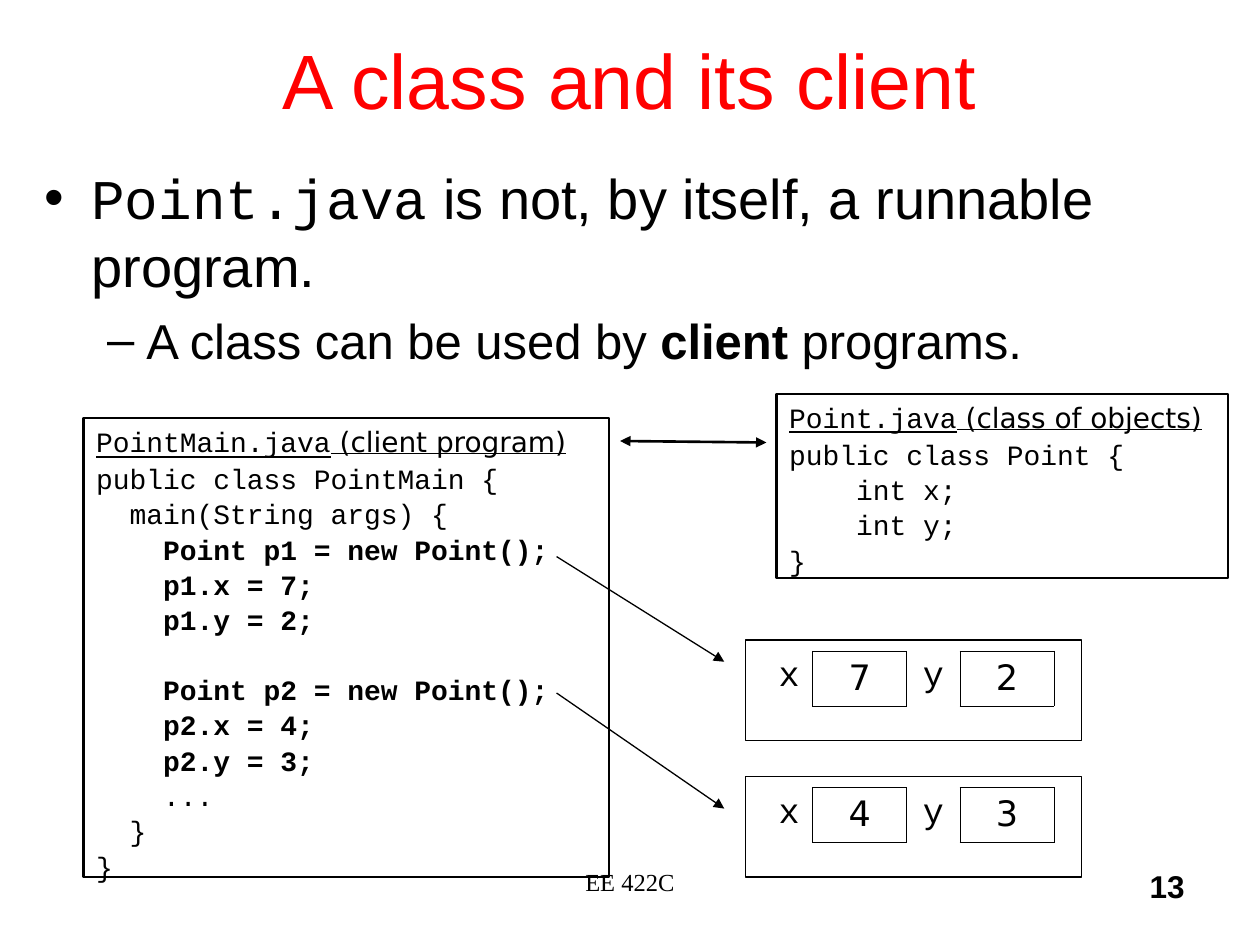
from pptx import Presentation
from pptx.dml.color import RGBColor
from pptx.enum.shapes import MSO_CONNECTOR, MSO_SHAPE
from pptx.enum.text import MSO_ANCHOR, PP_ALIGN
from pptx.oxml.ns import qn
from pptx.util import Cm, Pt
from lxml.etree import SubElement

BLACK = RGBColor(0, 0, 0)
RED = RGBColor(255, 0, 0)
SANS, CODE, LABEL, SERIF = "Arial", "Courier New", "DejaVu Sans", "Times New Roman"
CODE_PITCH = 19.6


class SlideBuilder:
    """Holds the style and the current page."""

    def __init__(self, deck):
        """Add a blank page to the deck."""
        self.page = deck.slides.add_slide(deck.slide_layouts[6])
        self.color = BLACK

    def paragraph(self, frame, spans, first=False, hang=None, bullet=None, **formats):
        """Write one paragraph of (text, font formats) spans."""
        para = frame.paragraphs[0] if first else frame.add_paragraph()
        for name, value in formats.items():
            setattr(para, name, value)
        properties = para._p.get_or_add_pPr()
        if hang:
            margin, indent = hang
            properties.set("marL", str(Cm(margin)))
            properties.set("indent", str(Cm(indent)))
        if bullet:
            SubElement(properties, qn("a:buFont"), typeface=SANS)
            SubElement(properties, qn("a:buChar"), char=bullet)
        for text, font in spans:
            span = para.add_run()
            span.text = text
            span.font.color.rgb = self.color
            for name, value in font.items():
                setattr(span.font, name, value)

    def text(self, left, top, width, height, anchor=MSO_ANCHOR.TOP):
        """Add a wrapping text box and return its frame."""
        box = self.page.shapes.add_textbox(Cm(left), Cm(top), Cm(width), Cm(height))
        box.text_frame.word_wrap = True
        box.text_frame.vertical_anchor = anchor
        return box.text_frame

    def line_of_text(self, place, text, align, font, anchor=MSO_ANCHOR.TOP):
        """Add a text box that holds a single line."""
        frame = self.text(*place, anchor=anchor)
        self.paragraph(frame, [(text, font)], first=True, alignment=align)

    def outline(self, left, top, width, height, weight):
        """Add an unfilled rectangle and return its frame."""
        box = self.page.shapes.add_shape(
            MSO_SHAPE.RECTANGLE, Cm(left), Cm(top), Cm(width), Cm(height))
        box.shadow.inherit = False
        box.fill.background()
        box.line.color.rgb = self.color
        box.line.width = Pt(weight)
        frame = box.text_frame
        frame.word_wrap = True
        frame.vertical_anchor = MSO_ANCHOR.TOP
        return frame

    def listing(self, place, name, role, lines):
        """Add a framed code listing; lines are (text, bold, blank lines above)."""
        frame = self.outline(*place, weight=1.5)
        style = {"hang": (0.64, -0.64), "alignment": PP_ALIGN.LEFT}
        title = {"size": Pt(16), "underline": True}
        self.paragraph(frame, [(name, {**title, "name": CODE}), (role, {**title, "name": LABEL})],
                       first=True, space_before=Pt(10), **style)
        for text, bold, gap in lines:
            self.paragraph(frame, [(text, {"size": Pt(16), "name": CODE, "bold": bold})],
                           line_spacing=0.53, space_before=Pt(10 + gap * CODE_PITCH), **style)

    def border(self, cell, sides):
        """Draw the given cell sides and clear the others."""
        properties = cell._tc.get_or_add_tcPr()
        for side in "LRTB":
            edge = SubElement(properties, qn(f"a:ln{side}"), w=str(Pt(0.45)))
            if side in sides:
                fill = SubElement(edge, qn("a:solidFill"))
                SubElement(fill, qn("a:srgbClr"), val=str(self.color))
            else:
                SubElement(edge, qn("a:noFill"))

    def point_object(self, left, top, x, y):
        """Add a framed object with its two fields in a table."""
        self.outline(left, top, 6.78, 2.03, weight=0.74)
        widths = (0.94, 1.9, 1.07, 1.9)
        table = self.page.shapes.add_table(
            1, 4, Cm(left + 0.41), Cm(top + 0.23), Cm(sum(widths)), Cm(1.09)).table
        table.first_row = table.horz_banding = False
        cells = zip(table.columns, widths, ("x", x, "y", y),
                    ("R", "LRTB", "LR", "LRTB"), (CODE, LABEL) * 2)
        for index, (column, width, text, sides, font) in enumerate(cells):
            column.width = Cm(width)
            cell = table.cell(0, index)
            self.border(cell, sides)
            cell.fill.background()
            self.paragraph(cell.text_frame, [(text, {"size": Pt(20), "name": font})],
                           first=True, alignment=PP_ALIGN.CENTER, space_before=Pt(5))

    def arrow(self, start, end, weight, ends=("tailEnd",)):
        """Add a straight line with triangle heads."""
        line = self.page.shapes.add_connector(
            MSO_CONNECTOR.STRAIGHT, *map(Cm, start), *map(Cm, end))
        line.line.color.rgb = self.color
        line.line.width = Pt(weight)
        for name in ends:
            SubElement(line.line._get_or_add_ln(), qn(f"a:{name}"), type="triangle")
        SubElement(line._element.spPr, qn("a:effectLst"))


def main():
    """Build the slide and save it."""
    deck = Presentation()
    deck.slide_width, deck.slide_height = Cm(25.4), Cm(19.05)
    slide = SlideBuilder(deck)

    title_font = {"size": Pt(44), "name": SANS}
    slide.color = RED
    slide.line_of_text((1.9, 0, 21.6, 3.18), "A class and its client", PP_ALIGN.CENTER,
                       title_font, MSO_ANCHOR.MIDDLE)
    slide.color = BLACK

    body = slide.text(0.64, 3.18, 24.13, 14.17)
    large, medium = {"size": Pt(32), "name": SANS}, {"size": Pt(28), "name": SANS}
    slide.paragraph(body, [("Point.java", {**large, "name": CODE}),
                           (" is not, by itself, a runnable program.", large)],
                    first=True, hang=(0.95, -0.95), bullet="•", space_before=Pt(8))
    slide.paragraph(body, [("A class can be used by ", medium),
                           ("client", {**medium, "bold": True}), (" programs.", medium)],
                    hang=(2.06, -0.79), bullet="–", level=1, space_before=Pt(7))

    slide.listing((1.69, 8.43, 10.59, 9.25), "PointMain.java", " (client program)", [
        ("public class PointMain {", False, 0),
        ("  main(String args) {", False, 0),
        ("    Point p1 = new Point();", True, 0),
        ("    p1.x = 7;", True, 0),
        ("    p1.y = 2;", True, 0),
        ("    Point p2 = new Point();", True, 1),
        ("    p2.x = 4;", True, 0),
        ("    p2.y = 3;", True, 0),
        ("    ...", False, 0),
        ("  }", False, 0),
        ("}", False, 0),
    ])
    class_lines = ("public class Point {", "    int x;", "    int y;", "}")
    slide.listing((15.66, 7.94, 9.1, 3.71), "Point.java", " (class of objects)",
                  [(text, False, 0) for text in class_lines])

    for row, (x, y) in enumerate((("7", "2"), ("4", "3"))):
        slide.point_object(15.03, 12.9 + row * 2.75, x, y)

    slide.arrow((12.5, 8.89), (15.45, 8.92), 1.5, ("headEnd", "tailEnd"))
    slide.arrow((11.22, 11.22), (14.6, 13.34), 0.74)
    slide.arrow((11.22, 13.97), (14.6, 16.3), 0.74)

    slide.line_of_text((7.62, 17.36, 10.16, 1.27), "EE 422C", PP_ALIGN.CENTER,
                       {"size": Pt(14), "name": SERIF})
    slide.line_of_text((18.84, 17.36, 5.29, 1.27), "13", PP_ALIGN.RIGHT,
                       {"size": Pt(18), "name": SANS, "bold": True})
    deck.save("out.pptx")


main()
